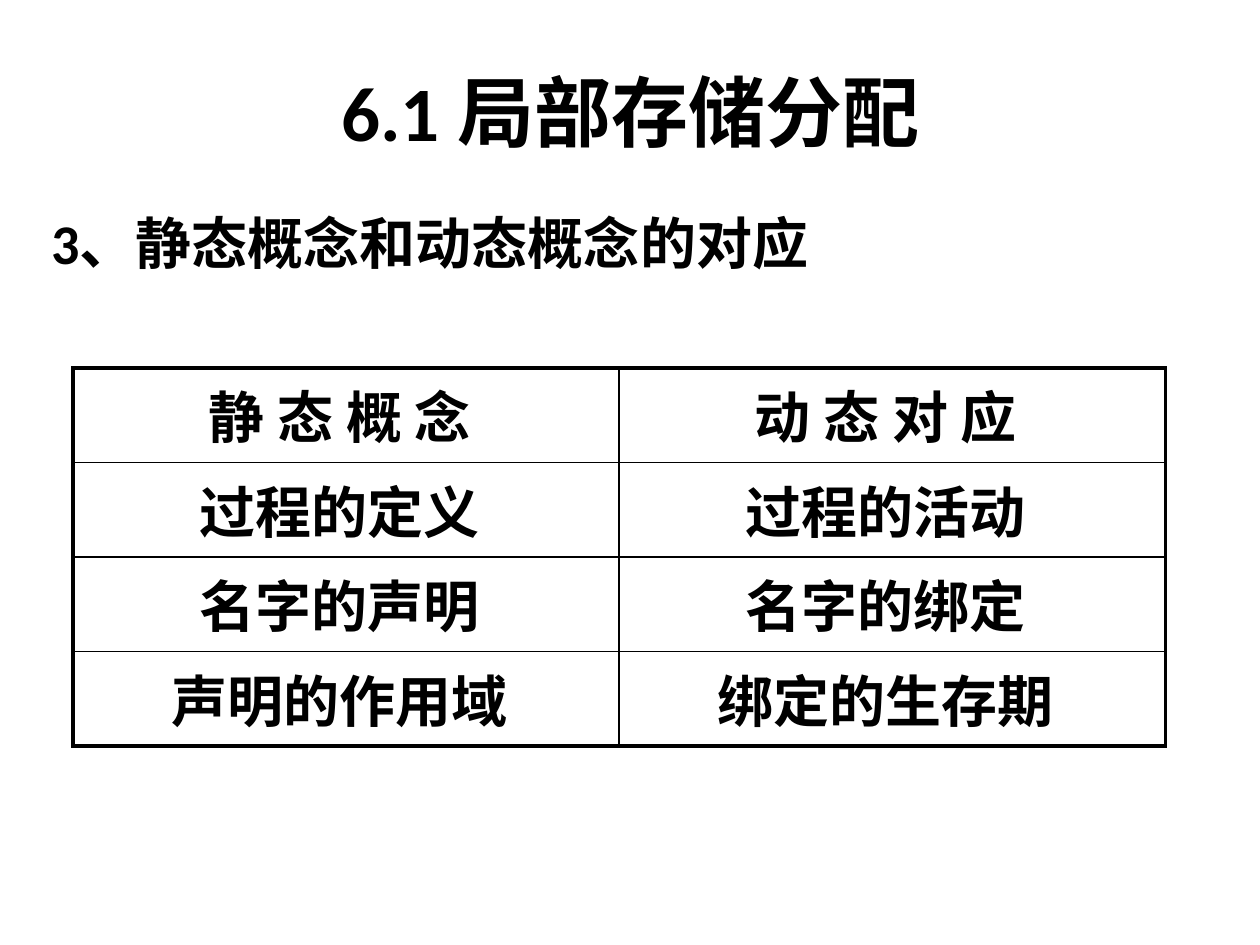
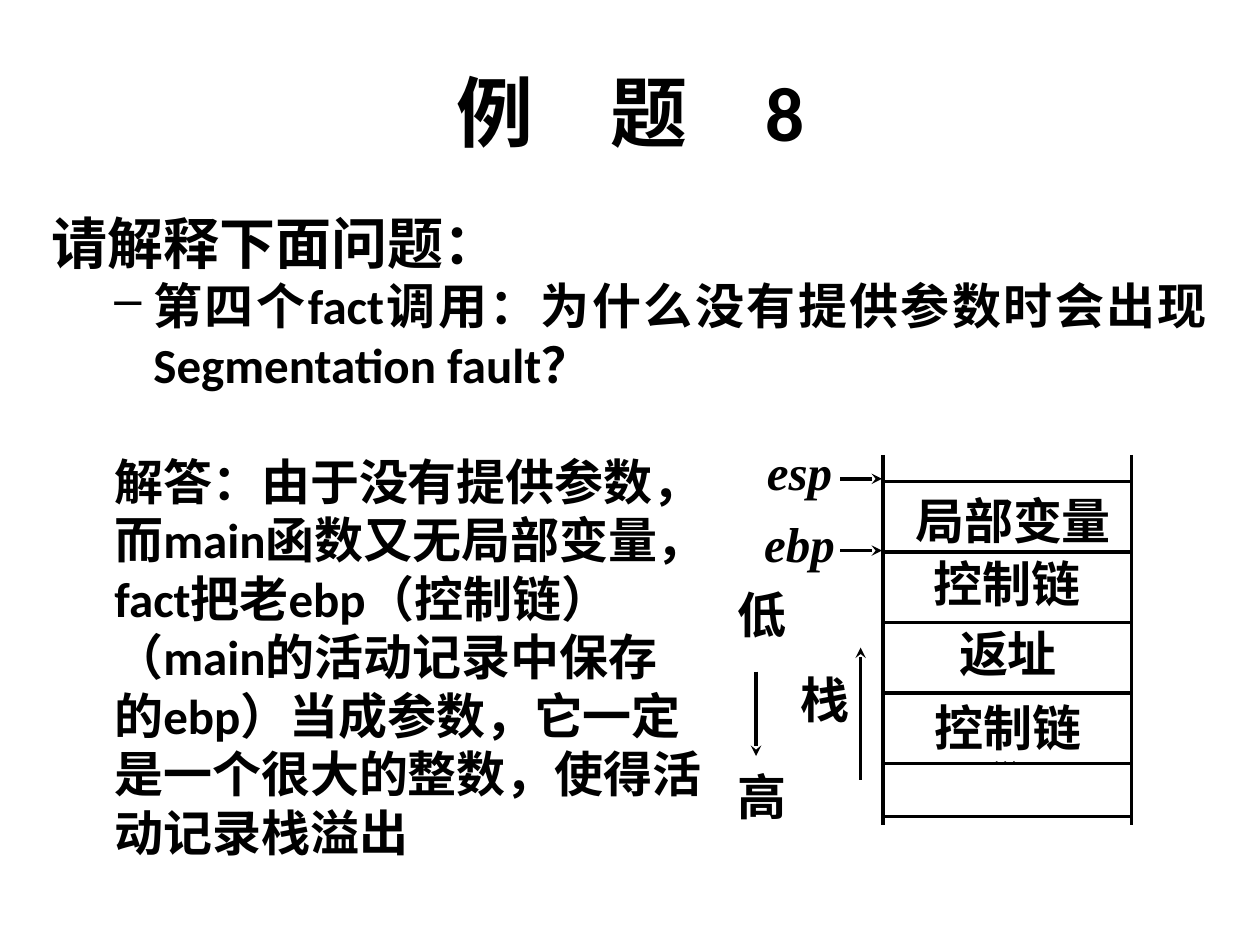
"""Build two lecture slides: static and dynamic concepts, and a call stack example."""
from dataclasses import dataclass

from lxml import etree
from pptx import Presentation
from pptx.dml.color import RGBColor
from pptx.enum.shapes import MSO_CONNECTOR
from pptx.enum.text import MSO_ANCHOR, PP_ALIGN
from pptx.oxml.ns import qn
from pptx.util import Inches, Pt

LEFT, CENTER, JUSTIFY = PP_ALIGN.LEFT, PP_ALIGN.CENTER, PP_ALIGN.JUSTIFY
MIDDLE = MSO_ANCHOR.MIDDLE
STRAIGHT = MSO_CONNECTOR.STRAIGHT
TITLE_ONLY = 5


@dataclass(frozen=True)
class Theme:
    ink: RGBColor = RGBColor(0, 0, 0)
    paper: RGBColor = RGBColor(255, 255, 255)
    sans: str = "Calibri"
    serif: str = "Times New Roman"
    chinese: str = "Noto Sans CJK SC"
    title: int = 44
    heading: int = 32
    text: int = 28
    dots: int = 10
    thick: float = 2.25
    thin: float = 1
    stroke: float = 2


THEME = Theme()


def write(frame, text, size=THEME.text, font=THEME.sans, align=LEFT, bold=True, italic=False,
          pitch=None, before=0, margin=0, indent=0, bullet=None, new=False):
    """Put one formatted paragraph into a text frame."""
    frame.word_wrap = True
    para = frame.add_paragraph() if new else frame.paragraphs[0]
    props = para._p.get_or_add_pPr()
    props.set("marL", str(Inches(margin)))
    props.set("indent", str(Inches(indent)))
    if bullet:
        etree.SubElement(props, qn("a:buChar"), char=bullet)
    para.alignment = align
    para.space_before = Pt(before)
    if pitch:
        para.line_spacing = Pt(pitch)
    span = para.add_run()
    span.text = text
    span.font.size, span.font.name = Pt(size), font
    span.font.bold, span.font.italic = bold, italic
    span.font.color.rgb = THEME.ink
    etree.SubElement(span.font._element, qn("a:ea"), typeface=THEME.chinese)


def draw_line(page, x1, y1, x2, y2, arrow=False):
    """Draw a straight line, with an arrowhead at its end if asked."""
    line = page.shapes.add_connector(STRAIGHT, Inches(x1), Inches(y1), Inches(x2), Inches(y2))
    line.line.color.rgb = THEME.ink
    line.line.width = Pt(THEME.stroke)
    if arrow:
        etree.SubElement(line.line._get_or_add_ln(), qn("a:tailEnd"), type="stealth")
    etree.SubElement(line._element.spPr, qn("a:effectLst"))


deck = Presentation()
deck.slide_width, deck.slide_height = Inches(10), Inches(7.5)

pages, bodies = [], []
for title, heading, align in [
    ("6.1 局部存储分配", "3、静态概念和动态概念的对应", LEFT),
    ("例　题　8", "请解释下面问题：", JUSTIFY),
]:
    page = deck.slides.add_slide(deck.slide_layouts[TITLE_ONLY])
    page.background.fill.solid()
    page.background.fill.fore_color.rgb = THEME.paper
    holder = page.shapes.title
    holder.left, holder.top = Inches(0.17), Inches(0.25)
    holder.width, holder.height = Inches(9.67), Inches(1.25)
    holder.text_frame.vertical_anchor = MIDDLE
    write(holder.text_frame, title, size=THEME.title, align=CENTER)
    body = page.shapes.add_textbox(Inches(0.31), Inches(1.57), Inches(9.37), Inches(5.51)).text_frame
    write(body, heading, size=THEME.heading, align=align, pitch=41, margin=0.38, indent=-0.38)
    pages.append(page)
    bodies.append(body)
concept_page, stack_page = pages

concepts = [
    ("静 态 概 念 ", "动 态 对 应 "),
    ("过程的定义 ", "过程的活动 "),
    ("名字的声明 ", "名字的绑定 "),
    ("声明的作用域 ", "绑定的生存期 "),
]
rows, columns = len(concepts), len(concepts[0])
table = concept_page.shapes.add_table(
    rows, columns, Inches(0.58), Inches(2.92), Inches(8.67), Inches(0.75 * rows)).table
table.first_row = table.horz_banding = False
for row, texts in enumerate(concepts):
    for column, text in enumerate(texts):
        cell = table.cell(row, column)
        write(cell.text_frame, text, size=THEME.heading, align=CENTER, pitch=46)
        props = cell._tc.get_or_add_tcPr()
        for side, outer in [("lnL", column == 0), ("lnR", column == columns - 1),
                            ("lnT", row == 0), ("lnB", row == rows - 1)]:
            width = Pt(THEME.thick if outer else THEME.thin)
            border = etree.SubElement(props, qn(f"a:{side}"), w=str(width))
            fill = etree.SubElement(border, qn("a:solidFill"))
            etree.SubElement(fill, qn("a:srgbClr"), val=str(THEME.ink))
        cell.fill.background()

second_level = dict(align=JUSTIFY, pitch=33.45, margin=0.81, indent=-0.31, new=True)
write(bodies[1], "第四个fact调用：为什么没有提供参数时会出现Segmentation fault？", bullet="–", **second_level)
answer = [
    "解答：由于没有提供参数，",
    "而main函数又无局部变量，",
    "fact把老ebp（控制链）",
    "（main的活动记录中保存",
    "的ebp）当成参数，它一定",
    "是一个很大的整数，使得活",
    "动记录栈溢出",
]
for number, text in enumerate(answer):
    write(bodies[1], text, before=0 if number else 33.45, **second_level)

stack_left, stack_right = 7.01, 8.98
for x in (stack_left, stack_right):
    draw_line(stack_page, x, 3.61, x, 6.55)
for y in [3.82 + 0.56 * step for step in range(5)] + [6.48]:
    draw_line(stack_page, stack_left, y, stack_right, y)
for x1, y1, x2, y2 in [(6.67, 4.37, 7, 4.37), (6.67, 3.8, 7, 3.8),
                       (6.83, 6.19, 6.83, 5.14), (6, 5.33, 6, 6)]:
    draw_line(stack_page, x1, y1, x2, y2, arrow=True)

plain = dict(pitch=36)
register = dict(pitch=36, italic=True)
ellipsis = dict(pitch=12, size=THEME.dots, bold=False)
for text, left, top, width, style in [
    ("局部变量", 7.08, 3.81, 1.92, plain),
    ("控制链", 7.14, 4.31, 1.7, plain),
    ("返址", 7.3, 4.87, 1.4, plain),
    ("控制链", 7.3, 5.45, 1.4, plain),
    (". . .", 7.28, 5.87, 1.4, ellipsis),
    ("esp", 5.9, 3.42, 0.89, register),
    ("ebp", 5.9, 3.99, 0.89, register),
    ("栈", 6.17, 5.23, 0.75, plain),
    ("低", 5.67, 4.56, 0.75, plain),
    ("高", 5.67, 6, 0.75, plain),
]:
    box = stack_page.shapes.add_textbox(Inches(left), Inches(top), Inches(width), Inches(0.66))
    write(box.text_frame, text, font=THEME.serif, align=CENTER, **style)

deck.save("out.pptx")
